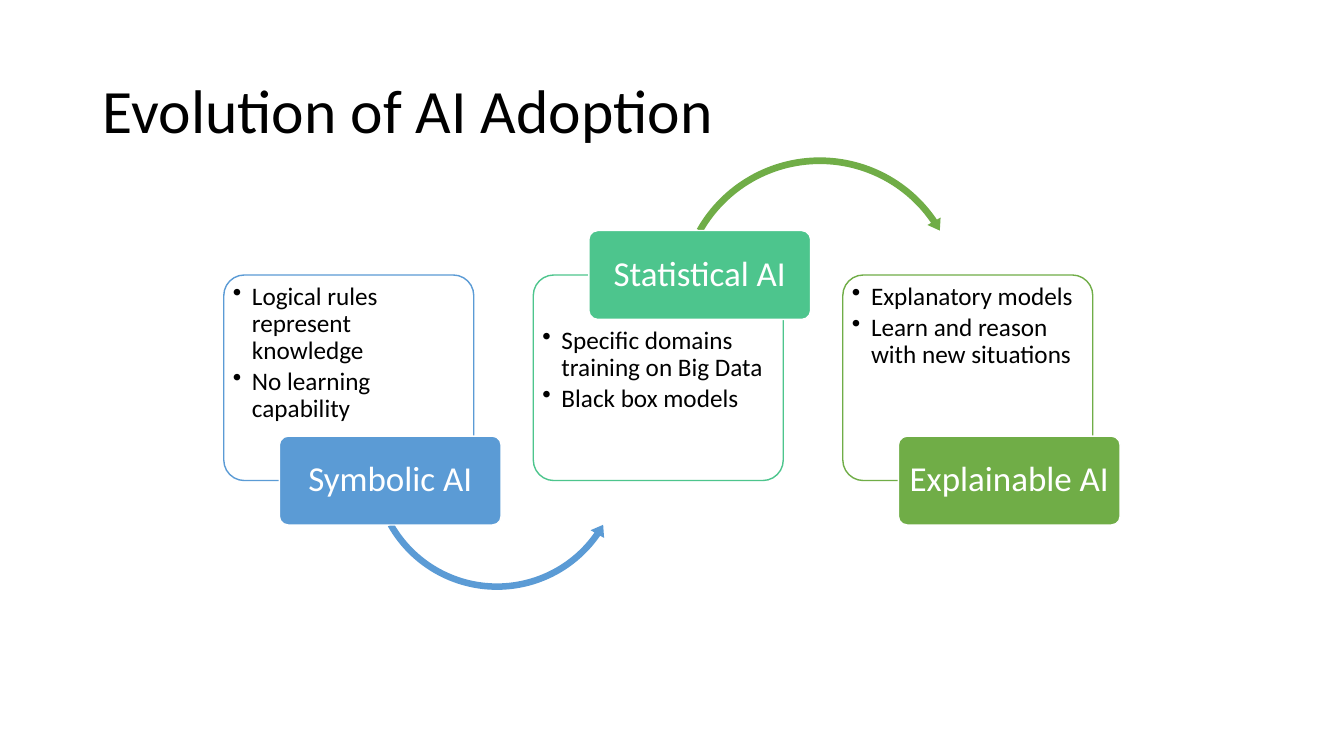
from dataclasses import dataclass
from typing import Optional

from lxml.etree import SubElement
from pptx import Presentation
from pptx.dml.color import RGBColor
from pptx.enum.shapes import MSO_SHAPE
from pptx.enum.text import MSO_ANCHOR, PP_ALIGN
from pptx.oxml.ns import qn
from pptx.shapes.autoshape import Shape
from pptx.slide import Slide
from pptx.text.text import TextFrame
from pptx.util import Cm, Pt


@dataclass(frozen=True)
class Theme:
    font: str = "Calibri"
    black: RGBColor = RGBColor(0x00, 0x00, 0x00)
    white: RGBColor = RGBColor(0xFF, 0xFF, 0xFF)
    blue: RGBColor = RGBColor(0x5B, 0x9B, 0xD5)
    teal: RGBColor = RGBColor(0x4D, 0xC5, 0x8D)
    green: RGBColor = RGBColor(0x70, 0xAD, 0x47)
    title_size: float = 44
    label_size: float = 25
    bullet_size: float = 18
    line_width: float = 1
    line_spacing: float = 0.9


@dataclass(frozen=True)
class Box:
    left: float
    top: float
    width: float
    height: float


@dataclass(frozen=True)
class Arrow:
    preset: MSO_SHAPE
    box: Box
    adjustments: tuple[float, ...]
    color: RGBColor


@dataclass(frozen=True)
class Stage:
    label: str
    bullets: tuple[str, ...]
    color: RGBColor
    label_on_top: bool = False
    arrow: Optional[Arrow] = None


THEME = Theme()
TITLE_BOX = Box(2.34, 1.02, 29.21, 3.68)
FIRST_PANEL = Box(5.64, 6.93, 6.3, 5.18)
STAGE_PITCH = 7.8
LABEL_SHIFT = 1.4
LABEL_WIDTH, LABEL_HEIGHT = 5.59, 2.24
CORNER = 0.1
HANGING = 0.48

STAGES = (
    Stage(
        "Symbolic AI",
        ("Logical rules represent knowledge", "No learning capability"),
        THEME.blue,
        arrow=Arrow(
            MSO_SHAPE.LEFT_CIRCULAR_ARROW,
            Box(9.25, 8.43, 6.55, 6.55),
            (0.025, 3.094, 20.849, 90.245, 0.03),
            THEME.blue,
        ),
    ),
    Stage(
        "Statistical AI",
        ("Specific domains training on Big Data", "Black box models"),
        THEME.teal,
        label_on_top=True,
        arrow=Arrow(
            MSO_SHAPE.CIRCULAR_ARROW,
            Box(16.99, 3.86, 7.34, 7.34),
            (0.023, 2.738, 195.507, 125.755, 0.026),
            THEME.green,
        ),
    ),
    Stage(
        "Explainable AI",
        ("Explanatory models", "Learn and reason with new situations"),
        THEME.green,
    ),
)


def add_filled_shape(
    slide: Slide, preset: MSO_SHAPE, box: Box, fill: RGBColor, line: Optional[RGBColor] = None
) -> Shape:
    shape = slide.shapes.add_shape(
        preset, Cm(box.left), Cm(box.top), Cm(box.width), Cm(box.height)
    )
    shape.shadow.inherit = False
    shape.fill.solid()
    shape.fill.fore_color.rgb = fill
    if line is None:
        shape.line.fill.background()
    else:
        shape.line.color.rgb = line
        shape.line.width = Pt(THEME.line_width)
    return shape


def set_frame(frame: TextFrame, anchor: MSO_ANCHOR, side: float, top: float, bottom: float) -> None:
    frame.word_wrap = True
    frame.vertical_anchor = anchor
    frame.margin_left = frame.margin_right = Cm(side)
    frame.margin_top, frame.margin_bottom = Cm(top), Cm(bottom)


def write_paragraph(
    frame: TextFrame,
    text: str,
    size: float,
    color: RGBColor,
    alignment: PP_ALIGN = PP_ALIGN.LEFT,
    first: bool = True,
    bullet: bool = False,
) -> None:
    paragraph = frame.paragraphs[0] if first else frame.add_paragraph()
    paragraph.alignment = alignment
    paragraph.line_spacing = THEME.line_spacing
    if bullet:
        paragraph.space_after = Pt(size * 0.15)
        properties = paragraph._p.get_or_add_pPr()
        properties.set("marL", str(Cm(HANGING)))
        properties.set("indent", str(-Cm(HANGING)))
        SubElement(properties, qn("a:buChar")).set("char", "•")
    run = paragraph.add_run()
    run.text = text
    run.font.name = THEME.font
    run.font.size = Pt(size)
    run.font.color.rgb = color


def add_title(slide: Slide, text: str) -> None:
    box = TITLE_BOX
    title = slide.shapes.add_textbox(Cm(box.left), Cm(box.top), Cm(box.width), Cm(box.height))
    set_frame(title.text_frame, MSO_ANCHOR.MIDDLE, 0.25, 0.13, 0.13)
    write_paragraph(title.text_frame, text, THEME.title_size, THEME.black)


def add_panel(slide: Slide, stage: Stage, box: Box) -> None:
    panel = add_filled_shape(slide, MSO_SHAPE.ROUNDED_RECTANGLE, box, THEME.white, stage.color)
    panel.adjustments[0] = CORNER
    top_margin = 1.17 if stage.label_on_top else 0.06
    set_frame(panel.text_frame, MSO_ANCHOR.TOP, 0.08, top_margin, 0.08)
    for index, bullet in enumerate(stage.bullets):
        write_paragraph(
            panel.text_frame, bullet, THEME.bullet_size, THEME.black, first=index == 0, bullet=True
        )


def add_arrow(slide: Slide, arrow: Arrow) -> None:
    shape = add_filled_shape(slide, arrow.preset, arrow.box, arrow.color)
    for index, value in enumerate(arrow.adjustments):
        shape.adjustments[index] = value


def add_label(slide: Slide, stage: Stage, panel: Box) -> None:
    edge = panel.top if stage.label_on_top else panel.top + panel.height
    box = Box(panel.left + LABEL_SHIFT, edge - LABEL_HEIGHT / 2, LABEL_WIDTH, LABEL_HEIGHT)
    label = add_filled_shape(slide, MSO_SHAPE.ROUNDED_RECTANGLE, box, stage.color, THEME.white)
    label.adjustments[0] = CORNER
    set_frame(label.text_frame, MSO_ANCHOR.MIDDLE, 0.12, 0.08, 0.08)
    write_paragraph(
        label.text_frame, stage.label, THEME.label_size, THEME.white, PP_ALIGN.CENTER
    )


def main() -> None:
    presentation = Presentation()
    presentation.slide_width, presentation.slide_height = Cm(33.87), Cm(19.05)
    slide = presentation.slides.add_slide(presentation.slide_layouts[6])
    add_title(slide, "Evolution of AI Adoption")
    for index, stage in enumerate(STAGES):
        left = FIRST_PANEL.left + index * STAGE_PITCH
        panel = Box(left, FIRST_PANEL.top, FIRST_PANEL.width, FIRST_PANEL.height)
        add_panel(slide, stage, panel)
        if stage.arrow:
            add_arrow(slide, stage.arrow)
        add_label(slide, stage, panel)
    presentation.save("out.pptx")


if __name__ == "__main__":
    main()
